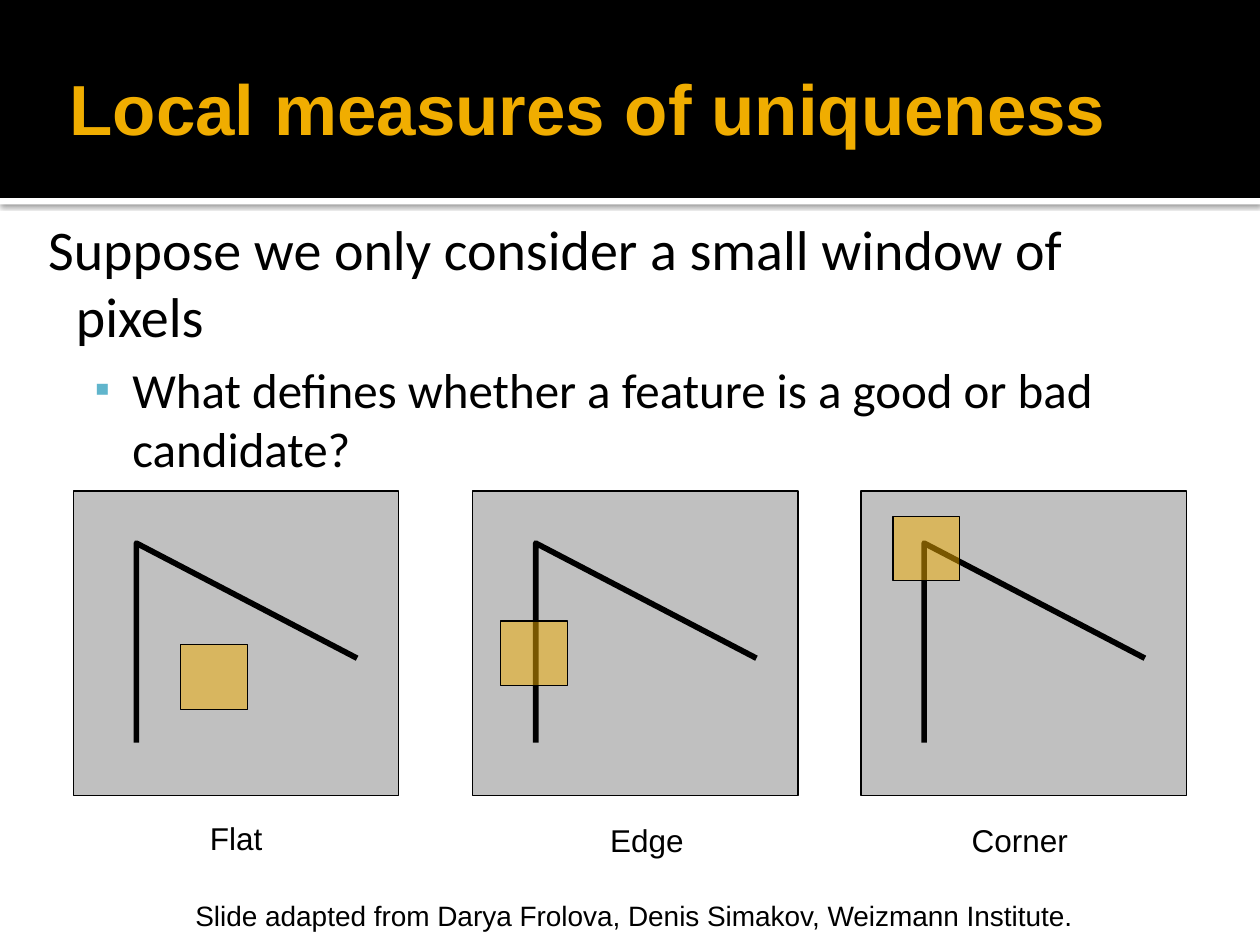
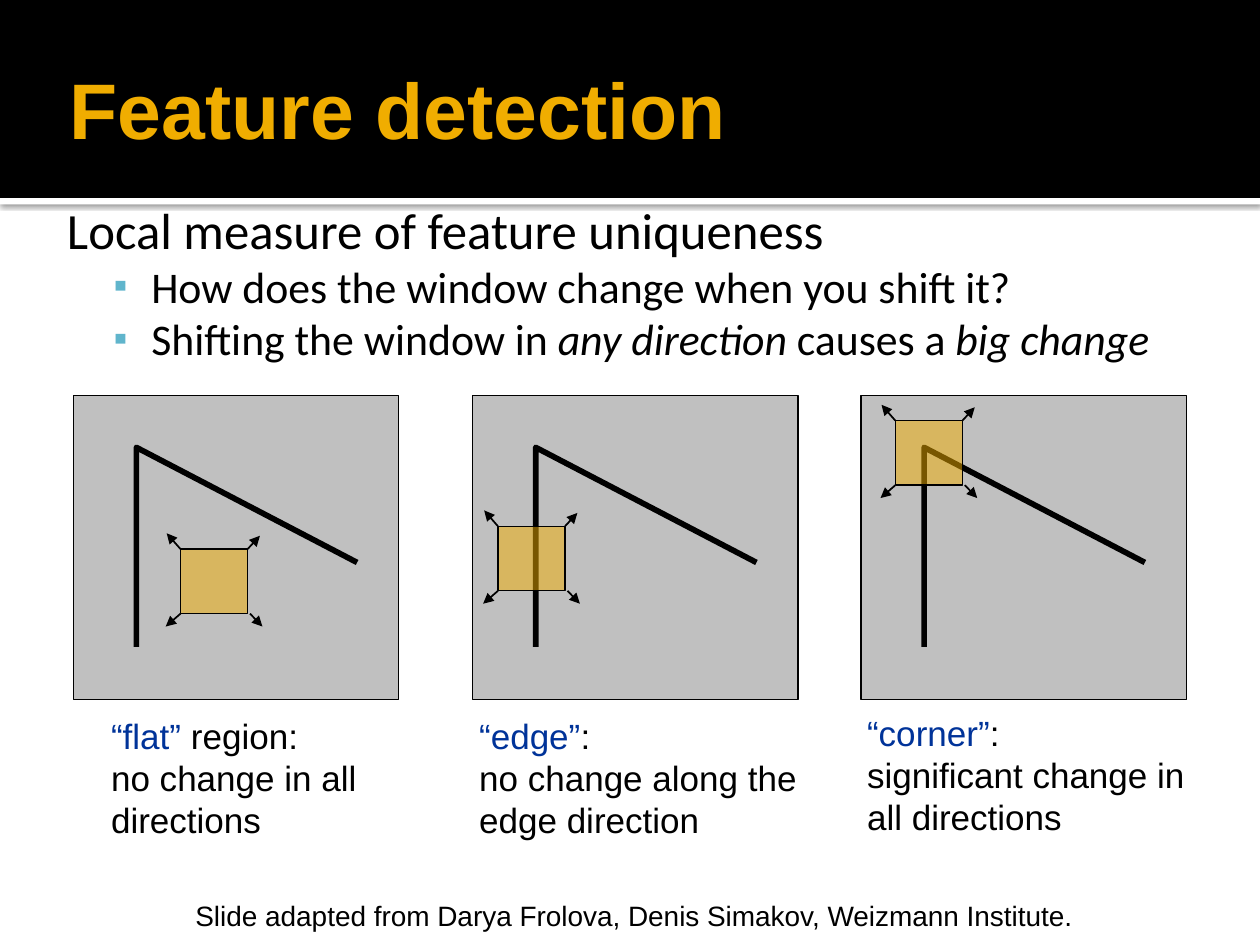
from lxml.etree import SubElement
from pptx import Presentation
from pptx.dml.color import RGBColor
from pptx.enum.shapes import MSO_CONNECTOR, MSO_SHAPE
from pptx.enum.text import MSO_ANCHOR, MSO_AUTO_SIZE, PP_ALIGN
from pptx.oxml.ns import qn
from pptx.util import Cm, Pt

BLACK, WHITE, GOLD, GREY = "000000", "FFFFFF", "F0AD00", "C0C0C0"
BULLET_BLUE, TERM_BLUE = "60B5CC", "003399"
CREDIT = "Slide adapted from Darya Frolova, Denis Simakov, Weizmann Institute."

PANEL_LEFTS = (1.48, 9.53, 17.36)
PANEL_SIZE = (6.56, 6.14)
WEDGE = ((1.27, 5.07), (1.27, 1.05), (5.72, 3.37))
WINDOW_SIZE = (1.35, 1.3)
# Start and end of each arrow, measured from the window's top left corner
SHIFT_ARROWS = (
    ((1.35, 0), (1.6, -0.27)),
    ((1.4, 1.3), (1.65, 1.56)),
    ((0, 1.3), (-0.3, 1.56)),
    ((0, 0), (-0.28, -0.32)),
)


def colour(value):
    return RGBColor.from_string(value)


def add_xml(parent, tag, **attributes):
    return SubElement(parent, qn(tag), attributes)


class SlideBuilder:
    title_font = label_font = "Arial"
    body_font = "Calibri"

    def __init__(self):
        self.deck = Presentation()
        self.deck.slide_width, self.deck.slide_height = Cm(25.4), Cm(19.05)
        self.layout = self.deck.slide_layouts[1]
        self.page = None

    def add_page(self, title, title_size):
        first = self.page is None
        self.page = self.deck.slides.add_slide(self.layout)
        if first:
            self.add_band_to_layout()
        self.title(title, title_size)

    def add_band_to_layout(self):
        for holder in list(self.layout.placeholders)[2:]:
            holder.element.getparent().remove(holder.element)
        strip = self.rectangle(0, 3.99, 25.4, 0.13, WHITE, outlined=False)
        effects = strip.element.spPr.find(qn("a:effectLst"))
        shadow = add_xml(effects, "a:outerShdw", blurRad="38100", dist="10160",
                         dir="5400000", algn="t", rotWithShape="0")
        shade = add_xml(shadow, "a:srgbClr", val=BLACK)
        add_xml(shade, "a:alpha", val="60000")
        band = self.rectangle(0, 0, 25.4, 3.99, BLACK, outlined=False)
        layout_title = self.layout.placeholders[0].element
        for shape in (strip, band):
            layout_title.addprevious(shape.element)

    def prepare(self, shape, left, top, width, height):
        """Place a text shape and return its text frame with common margins."""
        shape.left, shape.top = Cm(left), Cm(top)
        shape.width, shape.height = Cm(width), Cm(height)
        frame = shape.text_frame
        frame.word_wrap = True
        frame.auto_size = MSO_AUTO_SIZE.NONE
        frame.margin_left = frame.margin_right = Cm(0.13)
        frame.margin_top = frame.margin_bottom = Cm(0.13)
        return frame

    def set_font(self, paragraph, name, size, value=BLACK, bold=False):
        font = paragraph.font
        font.name, font.size, font.bold = name, Pt(size), bold
        font.color.rgb = colour(value)

    def title(self, text, size):
        frame = self.prepare(self.page.shapes.title, 1.27, 0.43, 22.86, 3.48)
        frame.vertical_anchor = MSO_ANCHOR.MIDDLE
        frame.text = text
        para = frame.paragraphs[0]
        para.alignment = PP_ALIGN.LEFT
        self.set_font(para, self.title_font, size, GOLD, bold=True)

    def body(self, place, sizes, lead, points, line_spacing=1.0):
        """Fill the body: a lead line, then bullets made of (text, italic) spans."""
        frame = self.prepare(self.page.placeholders[1], *place)
        frame.vertical_anchor = MSO_ANCHOR.TOP
        for level, spans in [(0, [(lead, False)])] + [(1, point) for point in points]:
            para = frame.add_paragraph() if level else frame.paragraphs[0]
            para.level = level
            para.line_spacing = line_spacing
            para.space_before = Pt(6 * level)
            self.bullet(para, level)
            self.set_font(para, self.body_font, sizes[level])
            for text, italic in spans:
                span = para.add_run()
                span.text = text
                if italic:
                    span.font.italic = True

    def bullet(self, paragraph, level):
        left, hanging = ((0.89, -0.56), (2.03, -0.76))[level]
        properties = paragraph._p.get_or_add_pPr()
        properties.set("marL", str(Cm(left)))
        properties.set("indent", str(Cm(hanging)))
        if level:
            add_xml(add_xml(properties, "a:buClr"), "a:srgbClr", val=BULLET_BLUE)
            add_xml(properties, "a:buSzPct", val="90000")
            add_xml(properties, "a:buChar", char="▪")
        else:
            add_xml(properties, "a:buNone")

    def label(self, place, size, lines, term="", align=PP_ALIGN.LEFT):
        """Add a text box; the term opens the first line in blue."""
        box = self.page.shapes.add_textbox(0, 0, 0, 0)
        frame = self.prepare(box, *place)
        for index, line in enumerate(lines):
            para = frame.add_paragraph() if index else frame.paragraphs[0]
            para.alignment = align
            self.set_font(para, self.label_font, size)
            if term and index == 0:
                span = para.add_run()
                span.text = term
                span.font.color.rgb = colour(TERM_BLUE)
            para.add_run().text = line

    def credit(self):
        self.label((3.81, 17.98, 20.75, 0.89), 16, [CREDIT])

    def rectangle(self, left, top, width, height, fill, outlined=True, alpha=None):
        shape = self.page.shapes.add_shape(
            MSO_SHAPE.RECTANGLE, Cm(left), Cm(top), Cm(width), Cm(height))
        shape.shadow.inherit = False
        shape.fill.solid()
        shape.fill.fore_color.rgb = colour(fill)
        if alpha:
            tint = shape.element.spPr.find(qn("a:solidFill"))[0]
            add_xml(tint, "a:alpha", val=str(alpha * 1000))
        if outlined:
            shape.line.color.rgb = colour(BLACK)
            shape.line.width = Pt(0.75)
        else:
            shape.line.fill.background()
        return shape

    def wedge(self, left, top):
        points = [(Cm(left + x), Cm(top + y)) for x, y in WEDGE]
        outline = self.page.shapes.build_freeform(*points[0])
        outline.add_line_segments(points[1:], close=False)
        shape = outline.convert_to_shape()
        shape.shadow.inherit = False
        shape.fill.background()
        shape.line.color.rgb = colour(BLACK)
        shape.line.width = Pt(3.25)

    def arrow(self, left, top, start, end):
        connector = self.page.shapes.add_connector(
            MSO_CONNECTOR.STRAIGHT,
            Cm(left + start[0]), Cm(top + start[1]),
            Cm(left + end[0]), Cm(top + end[1]))
        connector.line.color.rgb = colour(BLACK)
        connector.line.width = Pt(1)
        add_xml(connector.get_or_add_ln(), "a:tailEnd", type="triangle")
        add_xml(connector.element.spPr, "a:effectLst")

    def panels(self, top, windows, arrows=False):
        """Draw the three scenes, each with its window at the given offset."""
        for left, (across, down) in zip(PANEL_LEFTS, windows):
            self.rectangle(left, top, *PANEL_SIZE, GREY)
            self.wedge(left, top)
            window_left, window_top = left + across, top + down
            self.rectangle(window_left, window_top, *WINDOW_SIZE, GOLD, alpha=50)
            if arrows:
                for start, end in SHIFT_ARROWS:
                    self.arrow(window_left, window_top, start, end)


def add_uniqueness_page(builder):
    builder.add_page("Local measures of uniqueness", 40.5)
    builder.body((0.51, 4.19, 22.86, 12.85), (32, 28),
                 "Suppose we only consider a small window of pixels",
                 [[("What defines whether a feature is a good or bad candidate?", False)]])
    builder.panels(9.9, ((2.16, 3.1), (0.56, 2.62), (0.64, 0.51)))
    builder.credit()
    for left, top, name in ((2.31, 16.38, "Flat"), (10.59, 16.43, "Edge"),
                            (18.11, 16.43, "Corner")):
        builder.label((left, top, 4.9, 1.02), 18, [name], align=PP_ALIGN.CENTER)


def add_detection_page(builder):
    builder.add_page("Feature detection", 45)
    builder.body((0.89, 4.11, 23.65, 3.81), (29, 25),
                 "Local measure of feature uniqueness",
                 [[("How does the window change when you shift it?", False)],
                  [("Shifting the window in ", False), ("any direction ", True),
                   ("causes a ", False), ("big change", True)]],
                 line_spacing=0.8)
    builder.panels(7.97, ((2.16, 3.1), (0.51, 2.64), (0.69, 0.51)), arrows=True)
    captions = (
        (2.11, 14.27, 5.72, "“flat”", " region:", "no change in all directions"),
        (9.53, 14.27, 6.78, "“edge”", ":", "no change along the edge direction"),
        (17.35, 14.22, 6.78, "“corner”", ":", "significant change in all directions"),
    )
    for left, top, width, term, ending, meaning in captions:
        builder.label((left, top, width, 2.69), 20, [ending, meaning], term)
    builder.credit()


def main():
    builder = SlideBuilder()
    add_uniqueness_page(builder)
    add_detection_page(builder)
    builder.deck.save("out.pptx")


if __name__ == "__main__":
    main()
